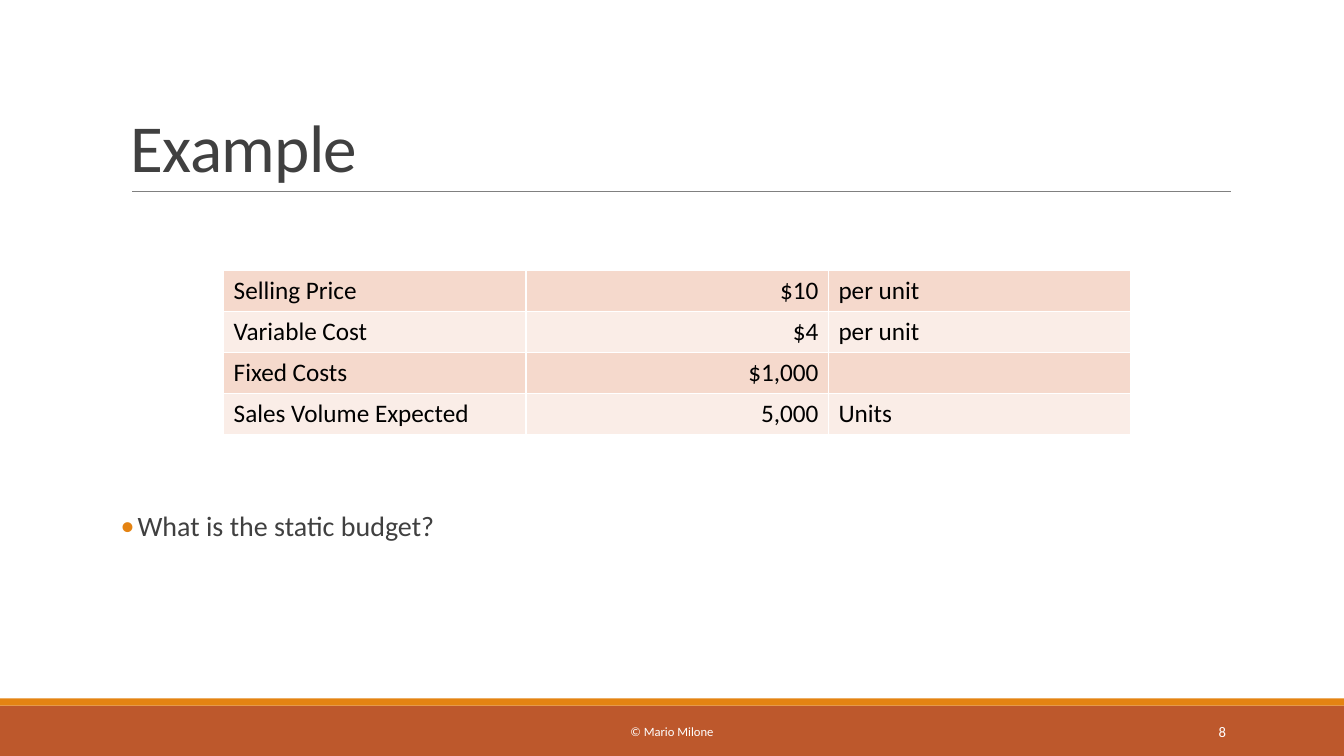
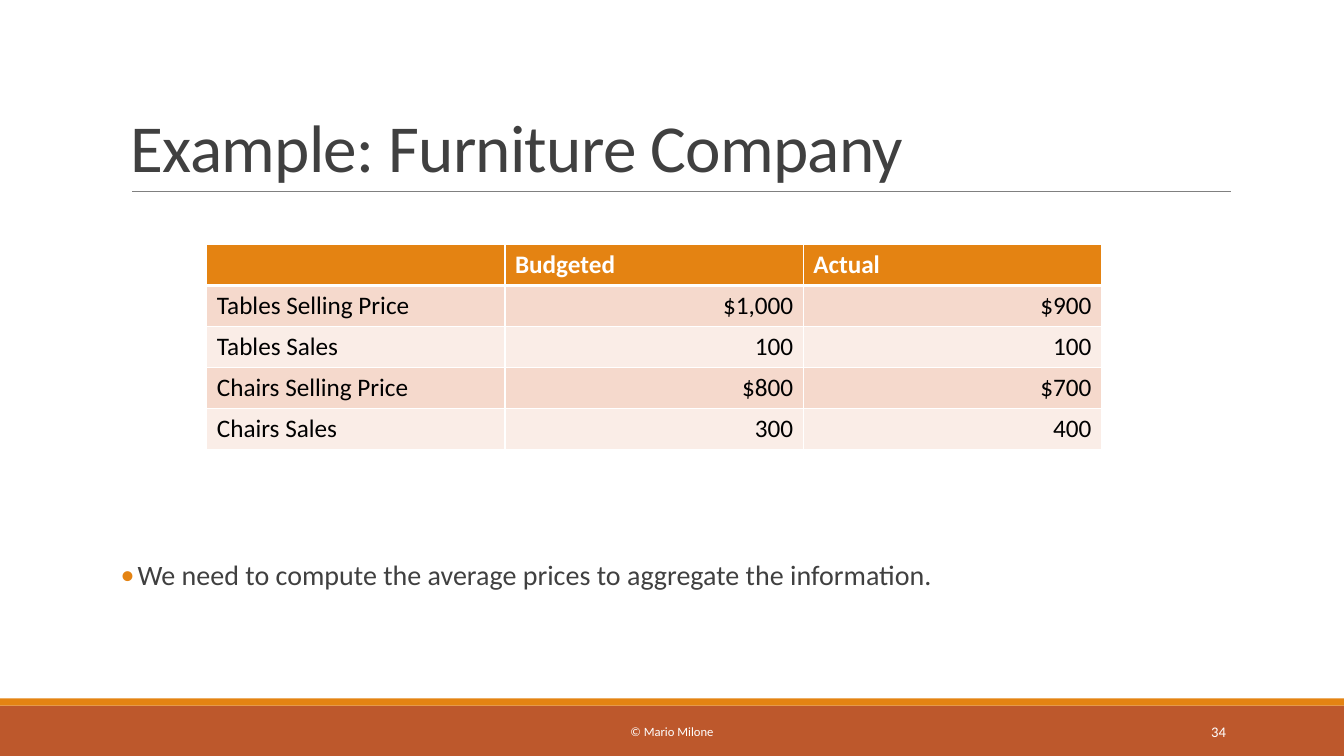
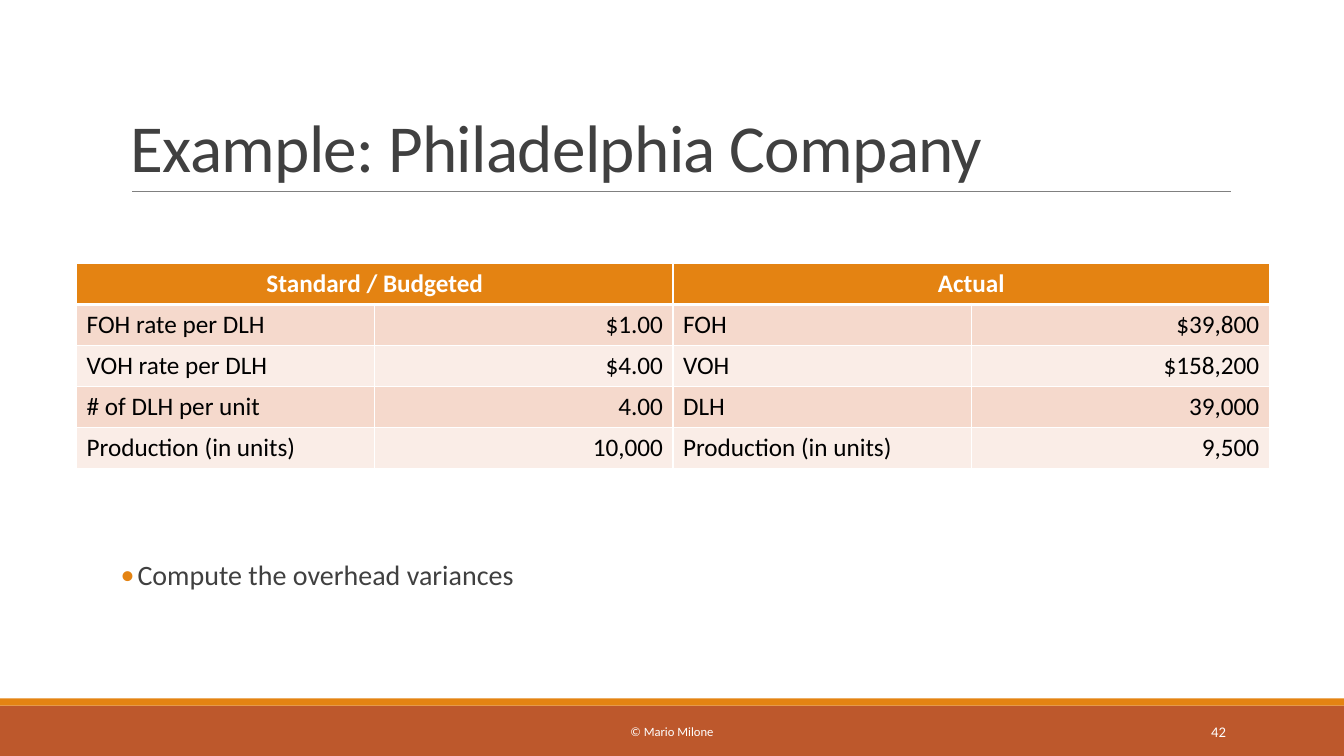
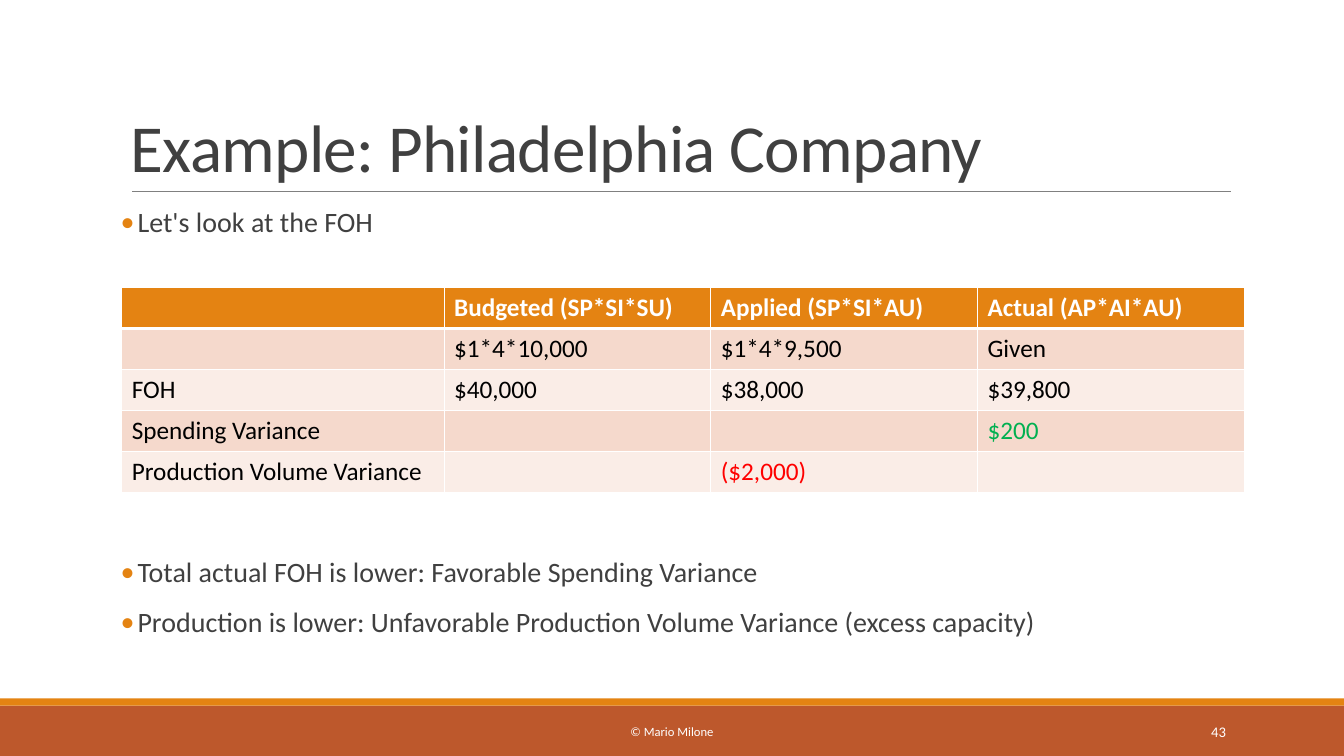
from lxml.etree import SubElement
from pptx import Presentation
from pptx.dml.color import RGBColor
from pptx.enum.shapes import MSO_CONNECTOR, MSO_SHAPE
from pptx.enum.text import MSO_ANCHOR, MSO_AUTO_SIZE, PP_ALIGN
from pptx.oxml.ns import qn
from pptx.util import Emu, Pt

FONT = "Calibri"
WHITE, BLACK, DARK, GREY = "FFFFFF", "000000", "404040", "808080"
ORANGE, RUST = "E48312", "BD582C"
BANDS = ("F5D9CC", "FAEDE7")
GREEN, RED = "00B050", "FF0000"
ALIGN = {"l": PP_ALIGN.LEFT, "c": PP_ALIGN.CENTER, "r": PP_ALIGN.RIGHT}
SLIDE_W, SLIDE_H = 1280, 720
ROW_H = 39
BODY_X, BODY_W = 115, 1056
TITLE_BOX = (BODY_X, 30, BODY_W, 152)
FOOTER_BOX = (0, 665, SLIDE_W, 55)


def px(n):
    return Emu(n * 9525)


def rgb(color):
    return RGBColor.from_string(color)


def style(p, size, color, align="l", bold=False):
    p.alignment = ALIGN[align]
    for r in p.runs:
        r.font.name, r.font.size, r.font.bold = FONT, Pt(size), bold
        r.font.color.rgb = rgb(color)


def add_title(s, box, text):
    x, y, w, h = box
    sp = s.shapes.title
    sp.left, sp.top, sp.width, sp.height = map(px, box)
    tf = sp.text_frame
    tf.text = text
    tf.auto_size = MSO_AUTO_SIZE.NONE
    tf.vertical_anchor = MSO_ANCHOR.BOTTOM
    p = tf.paragraphs[0]
    p.line_spacing = 0.85
    style(p, 48, DARK)
    p.runs[0].font._element.set("spc", "-50")
    rule = s.shapes.add_connector(
        MSO_CONNECTOR.STRAIGHT, px(x + 11), px(y + h), px(x + w + 1), px(y + h))
    rule.line.color.rgb = rgb(GREY)
    rule.line.width = Pt(0.5)
    SubElement(rule._element.spPr, qn("a:effectLst"))


def add_band(s, box, color):
    sp = s.shapes.add_shape(MSO_SHAPE.RECTANGLE, *map(px, box))
    sp.shadow.inherit = False
    sp.fill.solid()
    sp.fill.fore_color.rgb = rgb(color)
    sp.line.fill.background()


def add_label(s, box, text, size, align):
    tf = s.shapes.add_textbox(*map(px, box)).text_frame
    tf.word_wrap = True
    tf.vertical_anchor = MSO_ANCHOR.MIDDLE
    tf.text = text
    style(tf.paragraphs[0], size, WHITE, align)


def add_footer(s, box, number):
    x, y, w, h = box
    add_band(s, (x, y + 7, w, h - 7), RUST)
    add_band(s, (x, y, w, 7), ORANGE)
    add_label(s, (x + 387, y + 13, 506, 38), "© Mario Milone", 9, "c")
    add_label(s, (x + 1040, y + 13, 137, 38), str(number), 10.5, "r")


def add_bullets(s, y, lines):
    box = (BODY_X, y, BODY_W, 10 + 29 * len(lines) + 19 * (len(lines) - 1))
    tf = s.shapes.add_textbox(*map(px, box)).text_frame
    tf.word_wrap = True
    tf.margin_left = tf.margin_right = 0
    tf.text = "\n".join(lines)
    for i, p in enumerate(tf.paragraphs):
        pPr = p._p.get_or_add_pPr()
        pPr.set("marL", str(px(16)))
        pPr.set("indent", str(px(-16)))
        p.line_spacing = 0.9
        p.space_before = Pt(12 if i else 0)
        p.space_after = Pt(2)
        SubElement(SubElement(pPr, qn("a:buClr")), qn("a:srgbClr"), val=ORANGE)
        SubElement(pPr, qn("a:buFont"), typeface=FONT)
        SubElement(pPr, qn("a:buChar"), char="•")
        style(p, 20, DARK)


def set_borders(cell, top, bottom):
    tcPr = cell._tc.get_or_add_tcPr()
    for side, width in (("L", 1), ("R", 1), ("T", top), ("B", bottom)):
        ln = SubElement(tcPr, qn("a:ln" + side), w=str(Pt(width)))
        SubElement(SubElement(ln, qn("a:solidFill")), qn("a:srgbClr"), val=WHITE)


def add_table(s, x, y, widths, rows, aligns, header=None, merges=(), colors=None):
    colors = colors or {}
    n = len(rows)
    table = s.shapes.add_table(
        n, len(widths), px(x), px(y), px(sum(widths)), px(ROW_H * n)).table
    table.first_row = table.horz_banding = False
    for col, width in zip(table.columns, widths):
        col.width = px(width)
    for row in table.rows:
        row.height = px(ROW_H)
    for first, last in merges:
        table.cell(0, first).merge(table.cell(0, last))
    offset = 1 if header else 0
    for i, row in enumerate(rows):
        is_head = i < offset
        for j, text in enumerate(row):
            cell = table.cell(i, j)
            set_borders(cell, 3 if header and i == 1 else 1, 3 if is_head else 1)
            cell.fill.solid()
            cell.fill.fore_color.rgb = rgb(ORANGE if is_head else BANDS[(i - offset) % 2])
            cell.text = text
            color = WHITE if is_head else colors.get((i, j), BLACK)
            style(cell.text_frame.paragraphs[0], 18, color,
                  header if is_head else aligns[j], is_head)


def add_slide(prs, title, number):
    s = prs.slides.add_slide(prs.slide_layouts[5])
    add_footer(s, FOOTER_BOX, number)
    add_title(s, TITLE_BOX, title)
    return s


def static_budget(prs):
    s = add_slide(prs, "Example", 8)
    add_bullets(s, 483, ["What is the static budget?"])
    add_table(s, 213, 258, [288] * 3, [
        ("Selling Price", "$10", "per unit"),
        ("Variable Cost", "$4", "per unit"),
        ("Fixed Costs", "$1,000", ""),
        ("Sales Volume Expected", "5,000", "Units"),
    ], "lrl")


def furniture(prs):
    s = add_slide(prs, "Example: Furniture Company", 34)
    add_bullets(s, 530, [
        "We need to compute the average prices to aggregate the information."])
    add_table(s, 197, 233, [284] * 3, [
        ("", "Budgeted", "Actual"),
        ("Tables Selling Price", "$1,000", "$900"),
        ("Tables Sales", "100", "100"),
        ("Chairs Selling Price", "$800", "$700"),
        ("Chairs Sales", "300", "400"),
    ], "lrr", header="l")


def overhead_data(prs):
    s = add_slide(prs, "Example: Philadelphia Company", 42)
    add_bullets(s, 530, ["Compute the overhead variances"])
    add_table(s, 73, 251, [284] * 4, [
        ("Standard / Budgeted", "", "Actual", ""),
        ("FOH rate per DLH", "$1.00", "FOH", "$39,800"),
        ("VOH rate per DLH", "$4.00", "VOH", "$158,200"),
        ("# of DLH per unit", "4.00", "DLH", "39,000"),
        ("Production (in units)", "10,000", "Production (in units)", "9,500"),
    ], "lrlr", header="c", merges=((0, 1), (2, 3)))


def fixed_overhead(prs):
    s = add_slide(prs, "Example: Philadelphia Company", 43)
    add_bullets(s, 194, ["Let's look at the FOH"])
    add_bullets(s, 527, [
        "Total actual FOH is lower: Favorable Spending Variance",
        "Production is lower: Unfavorable Production Volume Variance (excess capacity)",
    ])
    add_table(s, 116, 274, [307] + [254] * 3, [
        ("", "Budgeted (SP*SI*SU)", "Applied (SP*SI*AU)", "Actual (AP*AI*AU)"),
        ("", "$1*4*10,000", "$1*4*9,500", "Given"),
        ("FOH", "$40,000", "$38,000", "$39,800"),
        ("Spending Variance", "", "", "$200"),
        ("Production Volume Variance", "", "($2,000)", ""),
    ], "llll", header="l", colors={(3, 3): GREEN, (4, 2): RED})


def main():
    prs = Presentation()
    prs.slide_width, prs.slide_height = px(SLIDE_W), px(SLIDE_H)
    for build in (static_budget, furniture, overhead_data, fixed_overhead):
        build(prs)
    prs.save("out.pptx")


if __name__ == "__main__":
    main()
